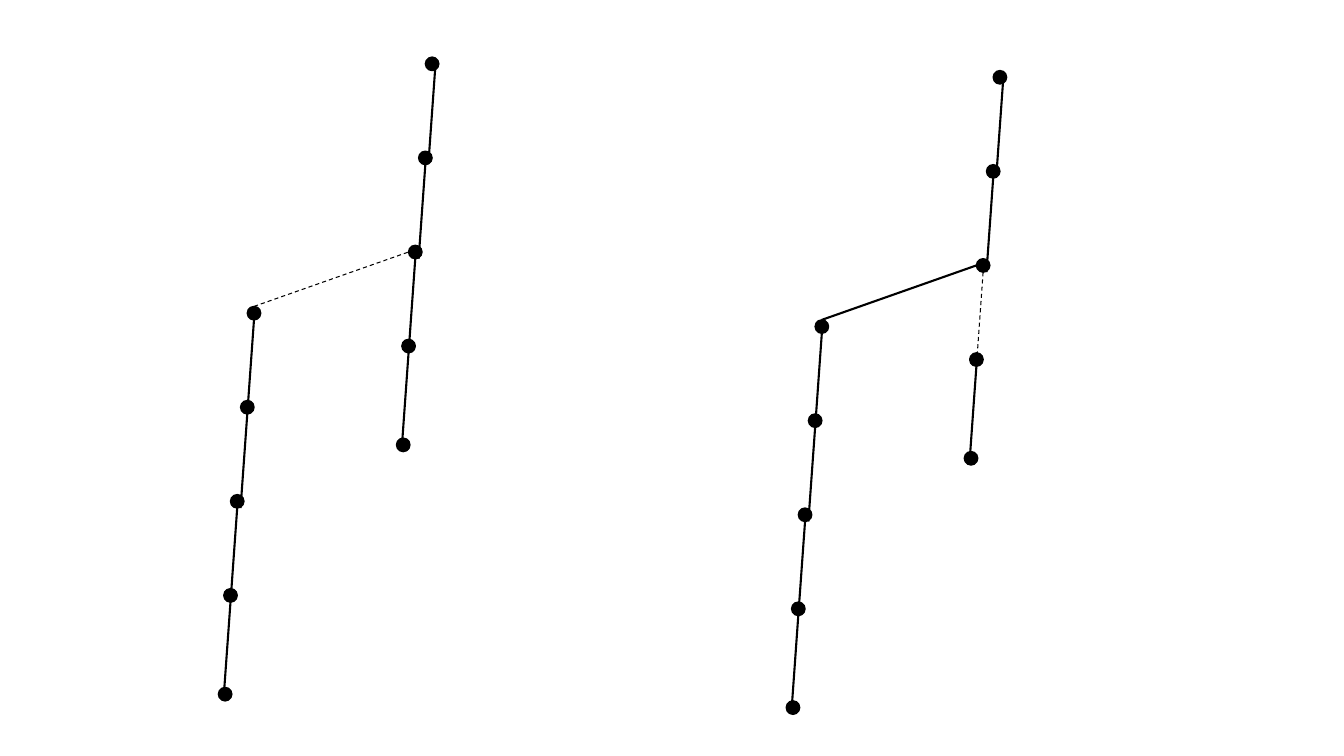
from typing import NamedTuple

from lxml import etree
from pptx import Presentation
from pptx import util as u
from pptx.dml.color import RGBColor
from pptx.enum import dml, shapes
from pptx.oxml import ns
from pptx.slide import Slide

BLACK = RGBColor(0, 0, 0)
COLS, ROWS = 200, 112.5
CELL = u.Inches(1) // 15
DOT = 2  # node diameter in cells


class Point(NamedTuple):
    col: float
    row: float

    def plus(self, col: float, row: float) -> "Point":
        return Point(self.col + col, self.row + row)


class Tree(NamedTuple):
    low: Point  # top node of the lower chain
    cut: str  # the one dashed edge: "bridge" or "upper"


NODES = [Point(0, 0), Point(-1, 14), Point(-2.5, 28), Point(-3.5, 42), Point(-4.3, 56.7)]
EDGE = Point(-1, 14)
RISE = Point(26.5, -37.1)  # from the lower chain to the upper one
JOIN = 2  # node of the upper chain that meets the bridge
TREES = [Tree(Point(36.8, 45.6), "bridge"), Tree(Point(121.3, 47.6), "upper")]

SOLID = {"width": u.Pt(1.5)}
DASHED = {"width": u.Pt(0.75), "dash_style": dml.MSO_LINE.DASH}


def size(cells: float) -> u.Emu:
    return u.Emu(round(cells * CELL))


def draw_node(slide: Slide, spot: Point) -> None:
    node = slide.shapes.add_shape(
        shapes.MSO_SHAPE.OVAL, size(spot.col), size(spot.row), size(DOT), size(DOT))
    node.shadow.inherit = False
    node.fill.solid()
    node.fill.fore_color.rgb = BLACK
    node.line.color.rgb = BLACK
    node.line.width = u.Pt(1)


def draw_edge(slide: Slide, start: Point, end: Point, dashed: bool) -> None:
    edge = slide.shapes.add_connector(
        shapes.MSO_CONNECTOR.STRAIGHT,
        size(start.col), size(start.row), size(end.col), size(end.row))
    edge.line.color.rgb = BLACK
    for name, value in (DASHED if dashed else SOLID).items():
        setattr(edge.line, name, value)
    etree.SubElement(edge.line._get_or_add_ln().getparent(), ns.qn("a:effectLst"))


def draw_chain(slide: Slide, top: Point, first: Point, cut: int | None = None) -> None:
    """Draw five nodes and four edges; first is where the top edge leaves its node."""
    for i, step in enumerate(NODES):
        spot = top.plus(*step)
        draw_node(slide, spot)
        if i < len(NODES) - 1:
            start = spot.plus(*(first if i == 0 else Point(DOT / 2, DOT)))
            draw_edge(slide, start, start.plus(*EDGE), i == cut)


def draw_tree(slide: Slide, tree: Tree) -> None:
    high = tree.low.plus(*RISE)
    draw_chain(slide, tree.low, Point(DOT / 2, DOT))
    draw_chain(slide, high, Point(1.5, 1.2), JOIN if tree.cut == "upper" else None)
    joint = high.plus(*NODES[JOIN])
    draw_edge(slide, tree.low.plus(DOT / 2, 0), joint.plus(0, DOT / 2), tree.cut == "bridge")


def main() -> None:
    deck = Presentation()
    deck.slide_width, deck.slide_height = size(COLS), size(ROWS)
    slide = deck.slides.add_slide(deck.slide_layouts[6])
    for tree in TREES:
        draw_tree(slide, tree)
    deck.save("out.pptx")


if __name__ == "__main__":
    main()
